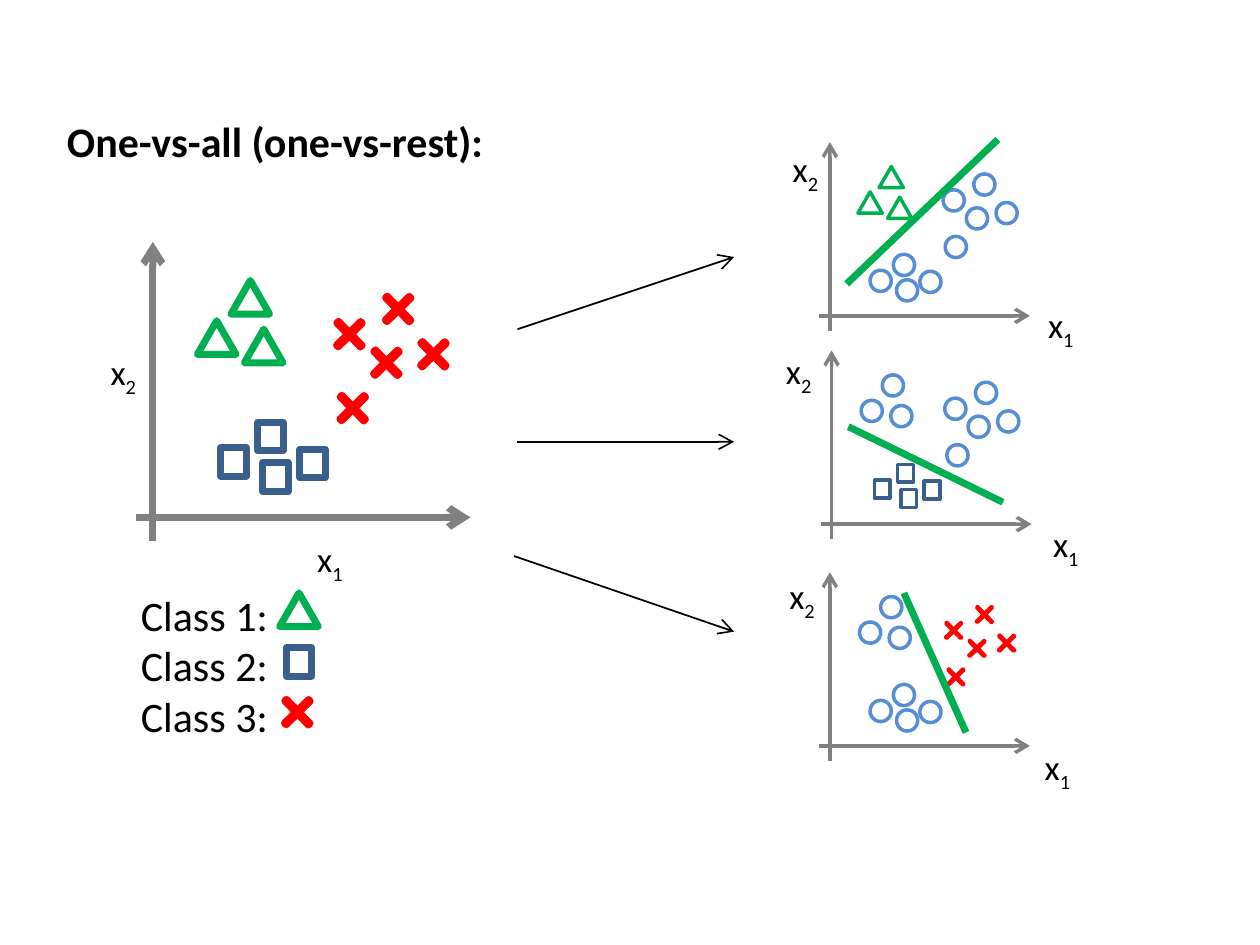
import pptx
import pptx.util
import pptx.dml.color
import pptx.enum.shapes
import pptx.enum.text
import pptx.oxml.ns

TITLE = "One-vs-all (one-vs-rest):"
CLASSES = ["Class 1:", "Class 2:", "Class 3:"]
LEGEND_CENTERS = [(1.78, 3.63), (1.78, 3.94), (1.77, 4.24)]

CLOUDS = [
    [(0.58, 1.31), (0.38, 1.07), (0.66, 1.02)],
    [(0.7, 0.48), (0.73, 0.24), (0.95, 0.32), (0.48, 0.33)],
    [(1.19, 0.65), (1.17, 1.09), (1.39, 0.92), (1.46, 1.24), (1.67, 0.97)],
]
AXES = [((0, -0.14), (0, 1.64)), ((-0.1, 0), (1.89, 0))]

MAIN_PLOT = {"origin": (0.91, 3.08), "x1": (1.79, 3.15), "x2": (0.56, 2.04)}
BINARY_SCALE = 0.63
BINARY_PLOTS = [
    {"origin": (4.94, 1.88), "x1": (6.14, 1.76), "x2": (4.62, 0.83),
     "boundary": ((5.04, 1.69), (5.94, 0.83)), "arrow": ((3.08, 1.96), (4.37, 1.53))},
    {"origin": (4.95, 3.12), "x1": (6.17, 3.06), "x2": (4.58, 2.03),
     "boundary": ((5.05, 2.54), (5.97, 2.99)), "arrow": ((3.08, 2.63), (4.37, 2.63))},
    {"origin": (4.94, 4.44), "x1": (6.12, 4.39), "x2": (4.6, 3.37),
     "boundary": ((5.38, 3.53), (5.75, 4.36)), "arrow": ((3.06, 3.31), (4.37, 3.76))},
]

THEME = {
    "font": "Calibri", "text": "000000", "axis": "808080", "boundary": "00B050",
    "title_size": 18, "label_size": 15, "thick": 3, "medium": 1.5, "thin": 0.75,
}
KINDS = pptx.enum.shapes.MSO_SHAPE
CLASS_MARKS = [
    {"kind": KINDS.ISOSCELES_TRIANGLE, "size": (0.23, 0.2), "color": "00B050"},
    {"kind": KINDS.RECTANGLE, "size": (0.15, 0.17), "color": "3A5F8C"},
    {"kind": KINDS.CROSS, "size": (0.2, 0.2), "color": "FF0000",
     "fill": "000000", "rotation": 45.6, "notch": 0.466},
]
REST_MARK = {"kind": KINDS.OVAL, "size": (0.2, 0.2), "color": "558ED5"}

Inches = pptx.util.Inches
rgb = pptx.dml.color.RGBColor.from_string

deck = pptx.Presentation()
deck.slide_width, deck.slide_height = Inches(7.5), Inches(7.5 * 3 / 4)
slide = deck.slides.add_slide(deck.slide_layouts[6])


def append_element(parent, tag, **attributes):
    parent.append(parent.makeelement(pptx.oxml.ns.qn(tag), attributes))


def draw_line(ends, color, width, arrow=False):
    start, end = ends
    line = slide.shapes.add_connector(
        pptx.enum.shapes.MSO_CONNECTOR.STRAIGHT, *map(Inches, (*start, *end)))
    line.line.color.rgb = rgb(color)
    line.line.width = pptx.util.Pt(width)
    properties = line._element.spPr
    if arrow:
        append_element(properties.find(pptx.oxml.ns.qn("a:ln")), "a:tailEnd", type="arrow")
    append_element(properties, "a:effectLst")


def draw_mark(mark, center, scale, width):
    w, h = (side * scale for side in mark["size"])
    x, y = center
    symbol = slide.shapes.add_shape(mark["kind"], *map(Inches, (x - w / 2, y - h / 2, w, h)))
    symbol.shadow.inherit = False
    symbol.line.color.rgb = rgb(mark["color"])
    symbol.line.width = pptx.util.Pt(width)
    symbol.rotation = mark.get("rotation", 0)
    if "notch" in mark:
        symbol.adjustments[0] = mark["notch"]
    if "fill" in mark:
        symbol.fill.solid()
        symbol.fill.fore_color.rgb = rgb(mark["fill"])
    else:
        symbol.fill.background()


def write(lines, box, size, wrap=True, bold=False):
    frame = slide.shapes.add_textbox(*map(Inches, box)).text_frame
    frame.word_wrap = wrap
    frame.auto_size = pptx.enum.text.MSO_AUTO_SIZE.SHAPE_TO_FIT_TEXT
    font_format = {"name": THEME["font"], "size": pptx.util.Pt(size), "bold": bold}
    for index, (words, subscript) in enumerate(lines):
        paragraph = frame.paragraphs[0] if index == 0 else frame.add_paragraph()
        for part in filter(None, (words, subscript)):
            run = paragraph.add_run()
            run.text = part
            for name, value in font_format.items():
                setattr(run.font, name, value)
            run.font.color.rgb = rgb(THEME["text"])
            if part == subscript:
                run._r.get_or_add_rPr().set("baseline", "-25000")


def draw_plot(plot, marks, scale, width):
    left, base = plot["origin"]

    def place(point):
        return left + point[0] * scale, base - point[1] * scale

    for axis in AXES:
        draw_line([place(end) for end in axis], THEME["axis"], width, arrow=True)
    for mark, cloud in zip(marks, CLOUDS):
        for point in cloud:
            draw_mark(mark, place(point), scale, width)
    for digit in "12":
        write([("x", digit)], (*plot["x" + digit], 0.36, 0.35), THEME["label_size"], wrap=False)


write([(TITLE, "")], (0.3, 0.64, 3.44, 0.4), THEME["title_size"], bold=True)
draw_plot(MAIN_PLOT, CLASS_MARKS, 1, THEME["thick"])
write([(name, "") for name in CLASSES], (0.74, 3.46, 1.98, 1.01), THEME["title_size"])
for mark, center in zip(CLASS_MARKS, LEGEND_CENTERS):
    draw_mark(mark, center, 1, THEME["thick"])

for chosen, plot in enumerate(BINARY_PLOTS):
    marks = [mark if index == chosen else REST_MARK for index, mark in enumerate(CLASS_MARKS)]
    draw_plot(plot, marks, BINARY_SCALE, THEME["medium"])
    draw_line(plot["arrow"], THEME["text"], THEME["thin"], arrow=True)
    draw_line(plot["boundary"], THEME["boundary"], THEME["thick"])

deck.save("out.pptx")
